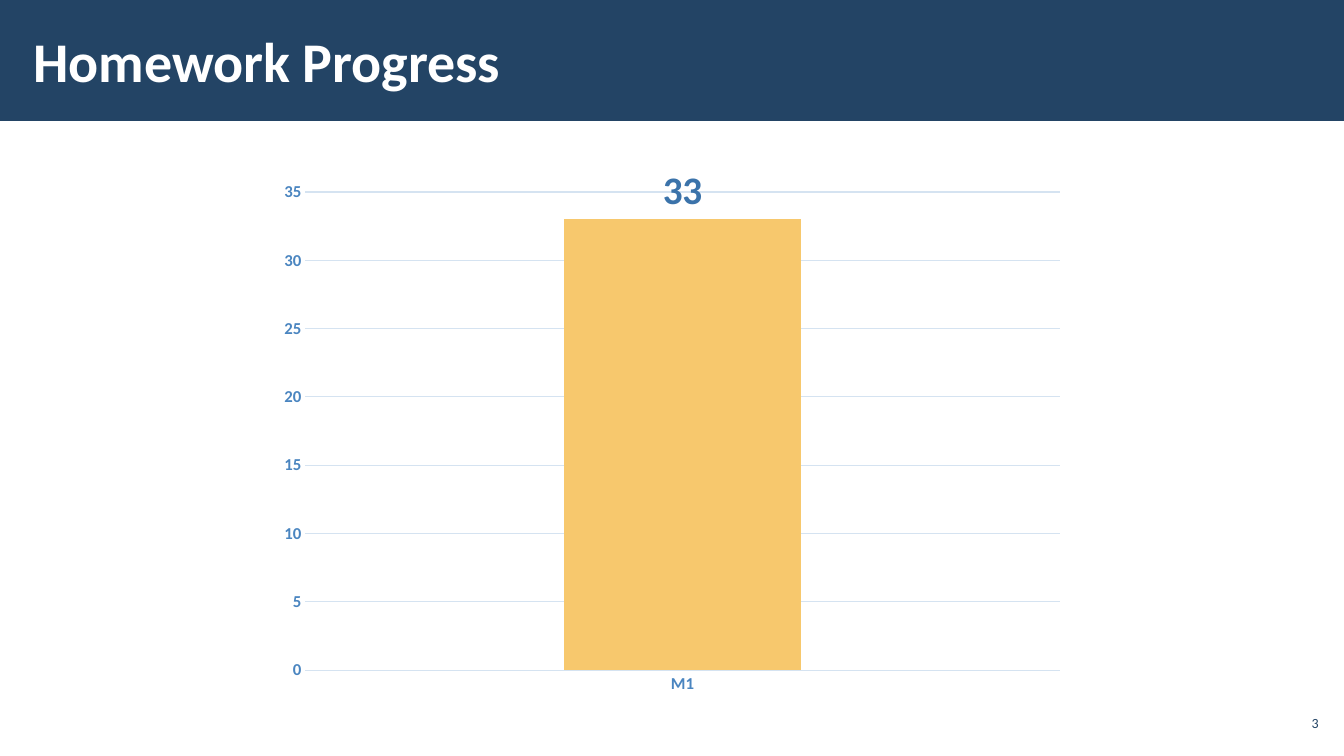
from pptx import Presentation
from pptx.chart.data import CategoryChartData
from pptx.dml.color import RGBColor
from pptx.enum import chart as ch, shapes, text
from pptx.util import Inches, Pt

FONT = "Calibri"
NAVY = "234465"
WHITE = "FFFFFF"
AXIS_BLUE = "4A85C0"
LABEL_BLUE = "3B73AA"
GRID_BLUE = "D5E3F1"
BAR_YELLOW = "F7C86D"


def color(hex_string):
    return RGBColor.from_string(hex_string)


def style_font(font, size, hex_string, bold=False):
    font.name = FONT
    font.size = Pt(size)
    font.bold = bold
    font.color.rgb = color(hex_string)


def place(shape, left, top, width, height):
    shape.left, shape.top = Inches(left), Inches(top)
    shape.width, shape.height = Inches(width), Inches(height)


def fill_text(shape, words, size, hex_string, align, side, bold=False):
    frame = shape.text_frame
    frame.text = words
    frame.word_wrap = True
    frame.auto_size = text.MSO_AUTO_SIZE.NONE
    frame.vertical_anchor = text.MSO_ANCHOR.MIDDLE
    frame.margin_left = frame.margin_right = Inches(side)
    frame.margin_top = frame.margin_bottom = Inches(0.04)
    line = frame.paragraphs[0]
    line.alignment = align
    style_font(line.runs[0].font, size, hex_string, bold)


def add_header(slide, words):
    title = slide.shapes.title
    place(title, 0.21, 0.11, 10.4, 0.97)
    fill_text(title, words, 40, WHITE, text.PP_ALIGN.LEFT, 0.12, bold=True)

    band = slide.shapes.add_shape(
        shapes.MSO_SHAPE.RECTANGLE, 0, 0, Inches(13.33), Inches(1.2))
    band.shadow.inherit = False
    band.fill.solid()
    band.fill.fore_color.rgb = color(NAVY)
    band.line.fill.background()
    # The band lies behind the title
    title._element.addprevious(band._element)


def add_page_number(slide, number):
    page = slide.shapes.add_textbox(
        Inches(12.65), Inches(7), Inches(0.47), Inches(0.34))
    fill_text(page, number, 10, NAVY, text.PP_ALIGN.RIGHT, 0.04)


def style_line(line, hex_string):
    line.color.rgb = color(hex_string)
    line.width = Pt(0.75)


def add_progress_chart(slide, months, counts):
    data = CategoryChartData()
    data.categories = months
    data.add_series("Series 1", counts)
    chart = slide.shapes.add_chart(
        ch.XL_CHART_TYPE.COLUMN_CLUSTERED, Inches(2.66), Inches(1.67),
        Inches(8.01), Inches(5.32), data).chart
    chart.has_legend = False
    chart.has_title = False
    style_font(chart.font, 10, NAVY)

    # Axes and gridlines
    for axis in (chart.category_axis, chart.value_axis):
        axis.major_tick_mark = axis.minor_tick_mark = ch.XL_TICK_MARK.NONE
        style_font(axis.tick_labels.font, 12, AXIS_BLUE, bold=True)
    style_line(chart.category_axis.format.line, GRID_BLUE)
    scale = chart.value_axis
    scale.minimum_scale, scale.maximum_scale, scale.major_unit = 0, 35, 5
    scale.format.line.fill.background()
    scale.has_major_gridlines = True
    style_line(scale.major_gridlines.format.line, GRID_BLUE)

    # Bars and their values
    plot = chart.plots[0]
    plot.vary_by_categories = False
    plot.gap_width, plot.overlap = 219, -27
    bars = plot.series[0]
    bars.format.fill.solid()
    bars.format.fill.fore_color.rgb = color(BAR_YELLOW)
    labels = bars.data_labels
    labels.show_value = True
    labels.position = ch.XL_LABEL_POSITION.OUTSIDE_END
    style_font(labels.font, 28, LABEL_BLUE, bold=True)


def main():
    deck = Presentation()
    deck.slide_width, deck.slide_height = Inches(13.33), Inches(7.5)
    slide = deck.slides.add_slide(deck.slide_layouts[5])
    add_header(slide, "Homework Progress")
    add_progress_chart(slide, ["M1"], [33])
    add_page_number(slide, "3")
    deck.save("out.pptx")


if __name__ == "__main__":
    main()
